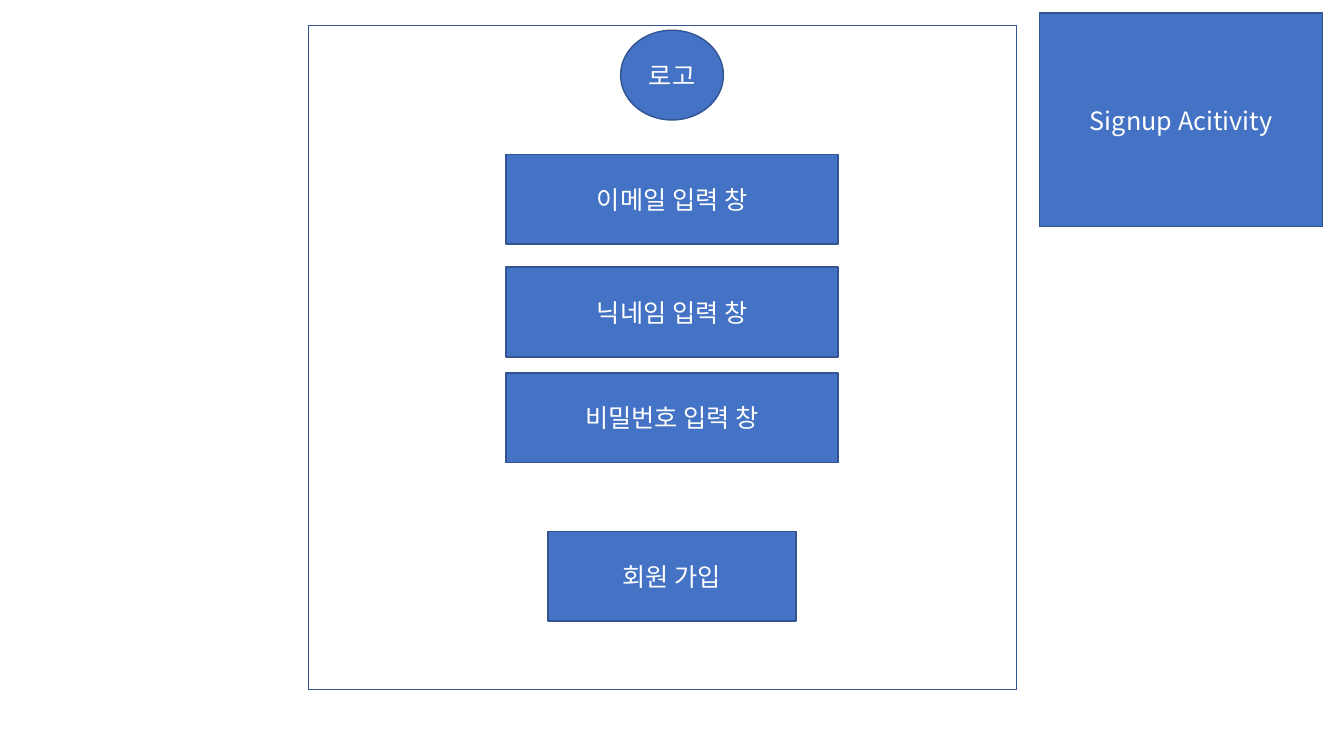
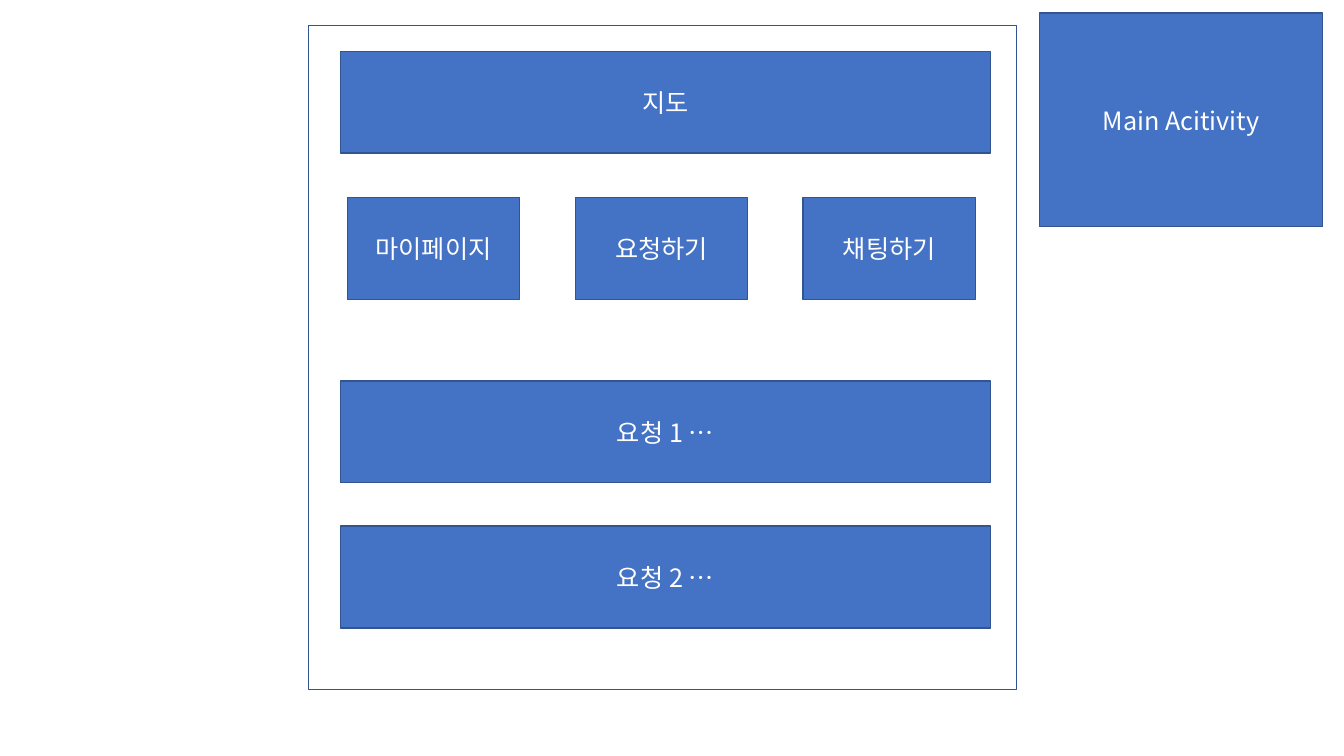
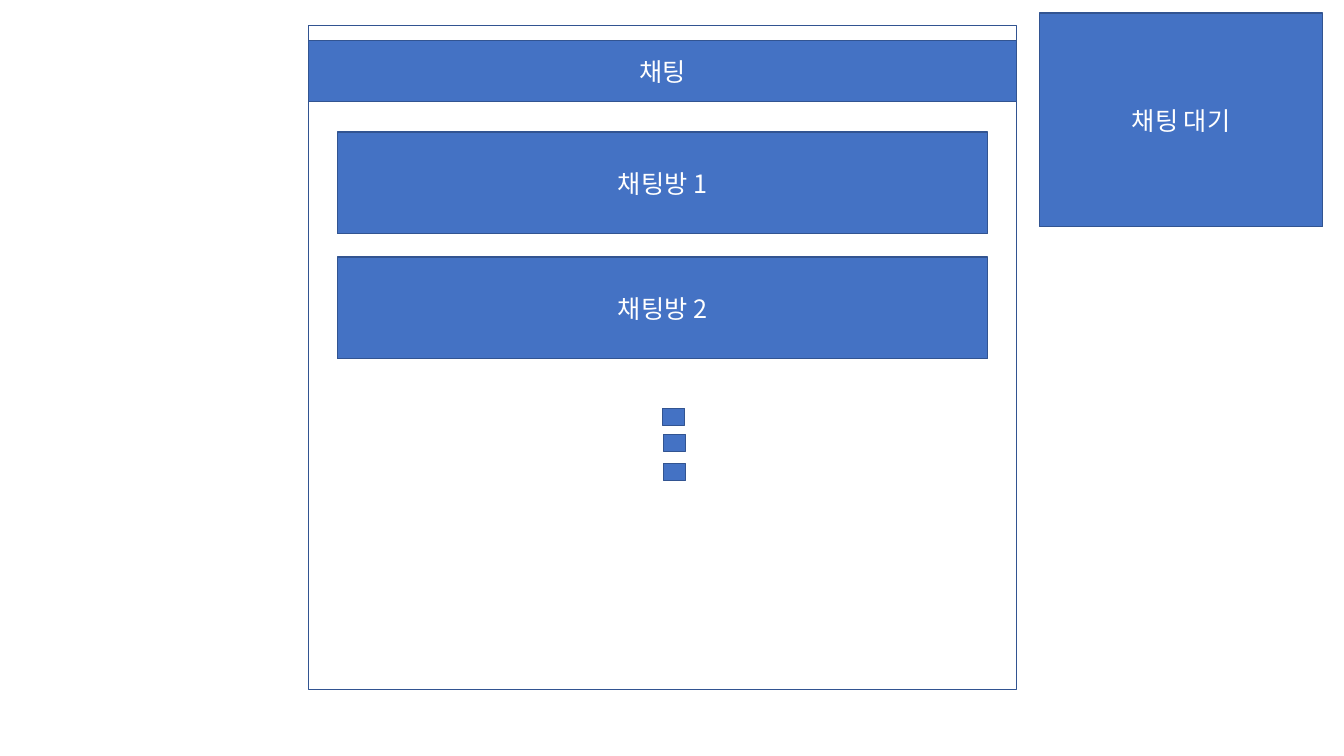
from pptx import Presentation, util as u
from pptx.dml.color import RGBColor
from pptx.enum import shapes, text
from pptx.oxml.ns import qn
from lxml import etree

COLORS = {"paper": "FFFFFF", "box": "4472C4", "edge": "325491", "label": "FFFFFF"}
FONT, FONT_SIZE = "Noto Sans CJK KR", 18
SLIDE_W, SLIDE_H = 13.33, 7.5

# Shared areas: left, top, width, height
FRAME = (3.06, 0.25, 7.02, 6.59)
NAME_CARD = (10.31, 0.13, 2.81, 2.12)
MIDDLE = SLIDE_W / 2
FRAME_MIDDLE = FRAME[0] + FRAME[2] / 2
BUTTON_PITCH = 2.26

# Width and height of each kind of part
SIZES = {
    "logo": (1.02, 0.89),
    "field": (3.29, 0.89),
    "submit": (2.46, 0.89),
    "bar": (6.45, 1.01),
    "button": (1.71, 1.01),
    "header": (FRAME[2], 0.61),
    "dot": (0.22, 0.17),
}

# Screen name, then rows of: kind, centre of the row, top, labels
SCREENS = [
    ("Signup Acitivity", [
        ("logo", MIDDLE, 0.3, ["로고"]),
        ("field", MIDDLE, 1.53, ["이메일 입력 창"]),
        ("field", MIDDLE, 2.65, ["닉네임 입력 창"]),
        ("field", MIDDLE, 3.7, ["비밀번호 입력 창"]),
        ("submit", MIDDLE, 5.27, ["회원 가입"]),
    ]),
    ("Main Acitivity", [
        ("bar", 6.6, 0.51, ["지도"]),
        ("button", 6.56, 1.96, ["마이페이지", "요청하기", "채팅하기"]),
        ("bar", 6.6, 3.78, ["요청 1 …"]),
        ("bar", 6.6, 5.22, ["요청 2 …"]),
    ]),
    ("채팅 대기", [
        ("header", FRAME_MIDDLE, 0.4, ["채팅"]),
        ("bar", FRAME_MIDDLE, 1.31, ["채팅방 1"]),
        ("bar", FRAME_MIDDLE, 2.55, ["채팅방 2"]),
        ("dot", 6.68, 4.05, [""]),
        ("dot", 6.69, 4.31, [""]),
        ("dot", 6.69, 4.6, [""]),
    ]),
]


def color(name):
    return RGBColor.from_string(COLORS[name])


def add_box(s, area, label="", fill="box", preset=shapes.MSO_SHAPE.RECTANGLE):
    sp = s.shapes.add_shape(preset, *(u.Inches(v) for v in area))
    sp.shadow.inherit = False
    sp.fill.solid()
    sp.fill.fore_color.rgb = color(fill)
    sp.line.color.rgb = color("edge")
    sp.line.width = u.Pt(1)
    if label:
        tf = sp.text_frame
        tf.text = label
        tf.vertical_anchor = text.MSO_ANCHOR.MIDDLE
        p = tf.paragraphs[0]
        p.alignment = text.PP_ALIGN.CENTER
        r = p.runs[0]
        r.font.size = u.Pt(FONT_SIZE)
        r.font.color.rgb = color("label")
        r.font.name = FONT
        # Korean text takes the East Asian typeface
        etree.SubElement(r.font._element, qn("a:ea"), typeface=FONT)


def add_row(s, kind, centre, top, labels):
    w, h = SIZES[kind]
    preset = shapes.MSO_SHAPE.OVAL if kind == "logo" else shapes.MSO_SHAPE.RECTANGLE
    for i, label in enumerate(labels):
        offset = (i - (len(labels) - 1) / 2) * BUTTON_PITCH
        add_box(s, (centre + offset - w / 2, top, w, h), label, preset=preset)


prs = Presentation()
prs.slide_width, prs.slide_height = u.Inches(SLIDE_W), u.Inches(SLIDE_H)

for name, rows in SCREENS:
    s = prs.slides.add_slide(prs.slide_layouts[6])
    # Frame and name card, the same on every slide
    add_box(s, FRAME, fill="paper")
    add_box(s, NAME_CARD, name)
    # Parts of this screen
    for row in rows:
        add_row(s, *row)

prs.save("out.pptx")
